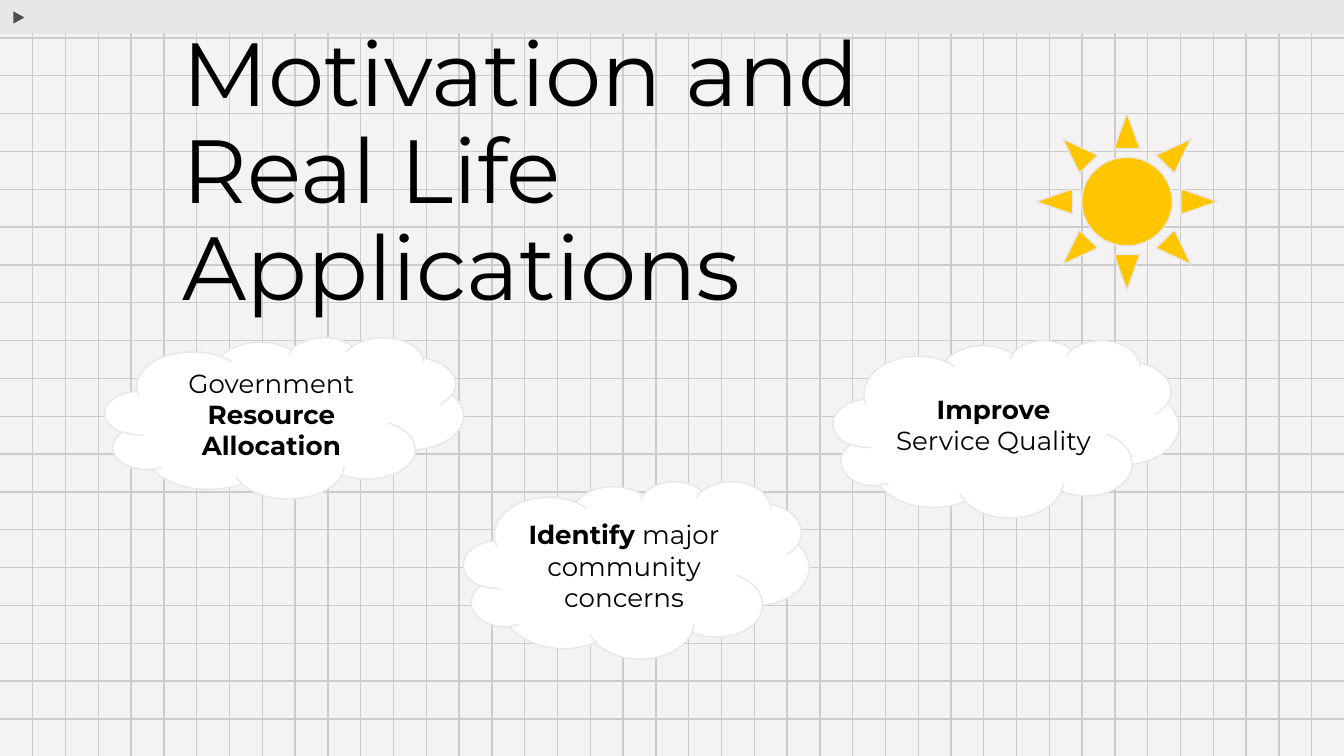
from dataclasses import dataclass

import pptx
import pptx.dml.color
import pptx.enum.shapes
import pptx.enum.text
import pptx.oxml
import pptx.oxml.ns
import pptx.util

Inches = pptx.util.Inches
Pt = pptx.util.Pt
RGBColor = pptx.dml.color.RGBColor
MSO_SHAPE = pptx.enum.shapes.MSO_SHAPE
MSO_CONNECTOR = pptx.enum.shapes.MSO_CONNECTOR
MSO_ANCHOR = pptx.enum.text.MSO_ANCHOR
PP_ALIGN = pptx.enum.text.PP_ALIGN

PAPER = RGBColor(0xF4, 0xF2, 0xF2)
GRID = RGBColor(0xCC, 0xCC, 0xCC)
BAR = RGBColor(0xE7, 0xE7, 0xE7)
ARROW = RGBColor(0x4F, 0x4F, 0x4F)
WHITE = RGBColor(0xFF, 0xFF, 0xFF)
BLACK = RGBColor(0, 0, 0)
SUN = RGBColor(0xFF, 0xC6, 0x00)
FONT = "Montserrat"
WIDTH = 10
HEIGHT = WIDTH * 9 / 16
ROWS, ROW_SPAN = 19, 5.35
COLUMNS, COLUMN_SPAN = 40, 9.76


@dataclass
class Run:
    text: str
    bold: bool = False


@dataclass
class Cloud:
    left: float
    top: float
    width: float
    height: float
    runs: list[Run]


CLOUDS = [
    Cloud(0.78, 2.51, 2.67, 1.2, [Run("Government "), Run("Resource Allocation", True)]),
    Cloud(6.2, 2.53, 2.57, 1.32, [Run("Improve", True), Run(" Service Quality")]),
    Cloud(3.45, 3.58, 2.57, 1.32, [Run("Identify", True), Run(" major community concerns")]),
]


def add_grid_line(s, x1: float, y1: float, x2: float, y2: float) -> None:
    line = s.shapes.add_connector(
        MSO_CONNECTOR.STRAIGHT, Inches(x1), Inches(y1), Inches(x2), Inches(y2))
    line.line.color.rgb = GRID
    line.line.width = Pt(0.75)
    line._element.spPr.append(pptx.oxml.parse_xml(
        f'<a:effectLst {pptx.oxml.ns.nsdecls("a")}/>'))


def add_shape(s, kind, left: float, top: float, width: float, height: float,
              fill: RGBColor, outlined: bool = True):
    sp = s.shapes.add_shape(
        kind, Inches(left), Inches(top), Inches(width), Inches(height))
    sp.shadow.inherit = False
    sp.fill.solid()
    sp.fill.fore_color.rgb = fill
    if outlined:
        sp.line.color.rgb = BAR
        sp.line.width = Pt(0.75)
    else:
        sp.line.fill.background()
    return sp


def set_up_frame(tf, anchor) -> None:
    tf.word_wrap = True
    tf.vertical_anchor = anchor
    tf.margin_left = tf.margin_right = tf.margin_top = tf.margin_bottom = Inches(0.1)


def add_run(p, run: Run, size: float) -> None:
    r = p.add_run()
    r.text = run.text
    r.font.name = FONT
    r.font.size = Pt(size)
    r.font.bold = run.bold
    r.font.color.rgb = BLACK


def add_title(s, text: str) -> None:
    box = s.shapes.add_textbox(Inches(1.26), Inches(0.12), Inches(5.43), Inches(2.38))
    set_up_frame(box.text_frame, MSO_ANCHOR.TOP)
    p = box.text_frame.paragraphs[0]
    p.line_spacing = 0.9
    add_run(p, Run(text), 48)


def add_cloud(s, cloud: Cloud) -> None:
    sp = add_shape(s, MSO_SHAPE.CLOUD, cloud.left, cloud.top,
                   cloud.width, cloud.height, WHITE)
    set_up_frame(sp.text_frame, MSO_ANCHOR.MIDDLE)
    p = sp.text_frame.paragraphs[0]
    p.alignment = PP_ALIGN.CENTER
    for run in cloud.runs:
        add_run(p, run, 14)


def main() -> None:
    prs = pptx.Presentation()
    prs.slide_width, prs.slide_height = Inches(WIDTH), Inches(HEIGHT)
    s = prs.slides.add_slide(prs.slide_layouts[6])
    s.background.fill.solid()
    s.background.fill.fore_color.rgb = PAPER

    for row in range(1, ROWS + 1):
        y = ROW_SPAN * row / ROWS
        add_grid_line(s, 0, y, WIDTH, y)
    for column in range(1, COLUMNS + 1):
        x = COLUMN_SPAN * column / COLUMNS
        add_grid_line(s, x, 0, x, HEIGHT)

    add_shape(s, MSO_SHAPE.RECTANGLE, 0, 0, WIDTH, 0.25, BAR, outlined=False)
    arrow = add_shape(s, MSO_SHAPE.ISOSCELES_TRIANGLE, 0.09, 0.08, 0.11, 0.1, ARROW)
    arrow.rotation = 90

    add_title(s, "Motivation and Real Life Applications")
    for cloud in CLOUDS:
        add_cloud(s, cloud)
    add_shape(s, MSO_SHAPE.SUN, 7.71, 0.84, 1.35, 1.32, SUN)
    prs.save("out.pptx")


if __name__ == "__main__":
    main()
